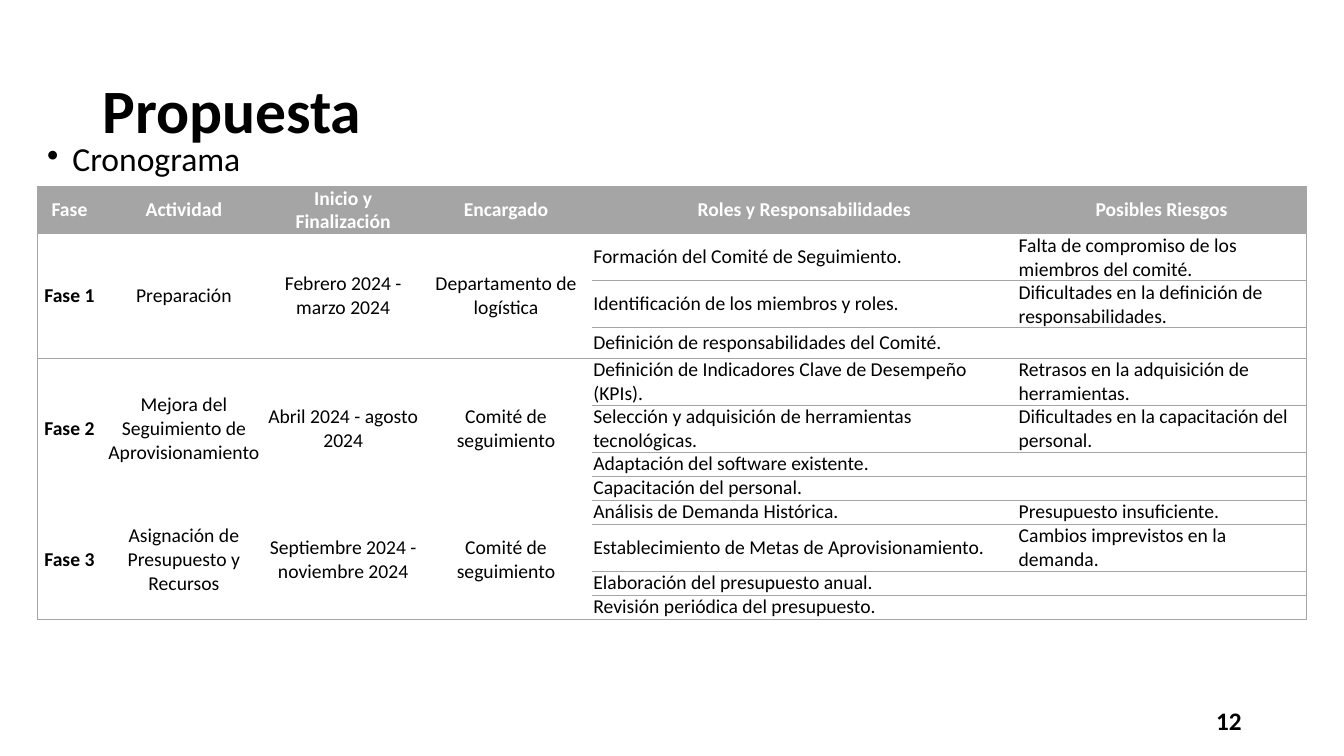
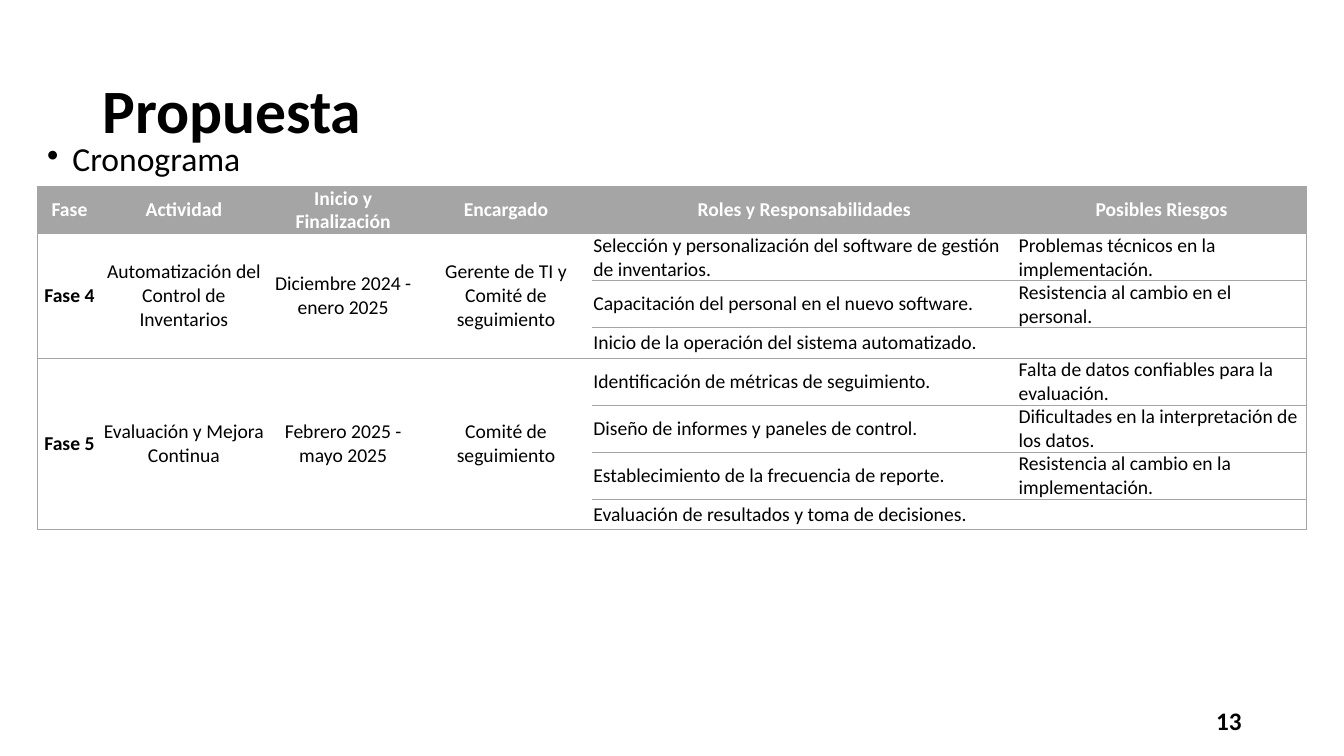
from lxml.etree import SubElement
from pptx import Presentation
from pptx.dml.color import RGBColor
from pptx.enum.text import MSO_ANCHOR, PP_ALIGN
from pptx.oxml.ns import qn
from pptx.util import Pt

COLORS = {"text": "000000", "head": "A5A5A5", "line": "A5A5A5", "white": "FFFFFF"}
FONT = "Calibri"
TITLE = "Propuesta"
TOPIC = "Cronograma"
HEADS = ["Fase", "Actividad", "Inicio y Finalización", "Encargado",
         "Roles y Responsabilidades", "Posibles Riesgos"]
COLS = [46.1, 117.4, 110.2, 122.4, 303.8, 206.6]
LEFT, TOP = 26.6, 133.2
LOW, TALL = 17.1, 21.6  # least row heights

# Each phase: labels, roles, risks, least row height
PAGES = [
    ("12", [
        (["Fase 1", "Preparación", "Febrero 2024 - marzo 2024",
          "Departamento de logística"],
         ["Formación del Comité de Seguimiento.",
          "Identificación de los miembros y roles.",
          "Definición de responsabilidades del Comité."],
         ["Falta de compromiso de los miembros del comité.",
          "Dificultades en la definición de responsabilidades."], TALL),
        (["Fase 2", "Mejora del Seguimiento de Aprovisionamiento",
          "Abril 2024 - agosto 2024", "Comité de seguimiento"],
         ["Definición de Indicadores Clave de Desempeño (KPIs).",
          "Selección y adquisición de herramientas tecnológicas.",
          "Adaptación del software existente.",
          "Capacitación del personal."],
         ["Retrasos en la adquisición de herramientas.",
          "Dificultades en la capacitación del personal."], LOW),
        (["Fase 3", "Asignación de Presupuesto y Recursos",
          "Septiembre 2024 - noviembre 2024", "Comité de seguimiento"],
         ["Análisis de Demanda Histórica.",
          "Establecimiento de Metas de Aprovisionamiento.",
          "Elaboración del presupuesto anual.",
          "Revisión periódica del presupuesto."],
         ["Presupuesto insuficiente.",
          "Cambios imprevistos en la demanda."], LOW),
    ]),
    ("13", [
        (["Fase 4", "Automatización del Control de Inventarios",
          "Diciembre 2024 - enero 2025",
          "Gerente de TI y Comité de seguimiento"],
         ["Selección y personalización del software de gestión de inventarios.",
          "Capacitación del personal en el nuevo software.",
          "Inicio de la operación del sistema automatizado."],
         ["Problemas técnicos en la implementación.",
          "Resistencia al cambio en el personal."], TALL),
        (["Fase 5", "Evaluación y Mejora Continua",
          "Febrero 2025 - mayo 2025", "Comité de seguimiento"],
         ["Identificación de métricas de seguimiento.",
          "Diseño de informes y paneles de control.",
          "Establecimiento de la frecuencia de reporte.",
          "Evaluación de resultados y toma de decisiones."],
         ["Falta de datos confiables para la evaluación.",
          "Dificultades en la interpretación de los datos.",
          "Resistencia al cambio en la implementación."], TALL),
    ]),
]


def color(name):
    return RGBColor.from_string(COLORS[name])


def style(para, size, bold, ink="text"):
    font = para.font
    font.name, font.size, font.bold = FONT, Pt(size), bold
    font.color.rgb = color(ink)


def add_text(slide, box, text, size, bold, anchor=MSO_ANCHOR.MIDDLE):
    frame = slide.shapes.add_textbox(*map(Pt, box)).text_frame
    frame.word_wrap = True
    frame.vertical_anchor = anchor
    para = frame.paragraphs[0]
    para.text = text
    style(para, size, bold)
    return para


def add_bullet(para, indent):
    props = para._p.get_or_add_pPr()
    props.set("marL", str(Pt(indent)))
    props.set("indent", str(-Pt(indent)))
    mark = props.makeelement(qn("a:buChar"), {"char": "•"})
    props.insert_element_before(mark, "a:tabLst", "a:defRPr", "a:extLst")


def set_lines(cell, sides):
    props = cell._tc.get_or_add_tcPr()
    for side in "LRTB":
        line = SubElement(props, qn("a:ln" + side), w=str(Pt(0.5)))
        if side in sides:
            fill = SubElement(line, qn("a:solidFill"))
            SubElement(fill, qn("a:srgbClr"), val=COLORS["line"])
        else:
            SubElement(line, qn("a:noFill"))


def fill_cell(cell, text, sides, bold=False, ink="text", back="white", center=True):
    set_lines(cell, sides)
    cell.fill.solid()
    cell.fill.fore_color.rgb = color(back)
    cell.vertical_anchor = MSO_ANCHOR.MIDDLE
    cell.margin_left = cell.margin_right = Pt(1.2)
    cell.margin_top = cell.margin_bottom = 0
    para = cell.text_frame.paragraphs[0]
    para.alignment = PP_ALIGN.CENTER if center else PP_ALIGN.LEFT
    style(para, 14, bold, ink)
    if text:
        para.text = text
    else:
        # An empty cell keeps the height of one text line
        SubElement(para._p, qn("a:endParaRPr"), sz="1400")


def add_plan(slide, phases):
    heights = [LOW] + [low for _, roles, _, low in phases for _ in roles]
    box = (LEFT, TOP, sum(COLS), sum(heights))
    table = slide.shapes.add_table(len(heights), len(COLS), *map(Pt, box)).table
    table.horz_banding = False
    for col, width in zip(table.columns, COLS):
        col.width = Pt(width)
    for row, height in zip(table.rows, heights):
        row.height = Pt(height)

    # Header
    for c, head in enumerate(HEADS):
        ends = {0: "L", len(HEADS) - 1: "R"}.get(c, "")
        fill_cell(table.cell(0, c), head, "TB" + ends, True, "white", "head")

    # Phases: merged labels at left, one row per role at right
    start = 1
    for i, (labels, roles, risks, _) in enumerate(phases):
        count = len(roles)
        above = "T" if i < 2 else ""
        below = "B" if i in (0, len(phases) - 1) else ""
        for c, label in enumerate(labels):
            for r in range(count):
                sides = "L" if c == 0 else ""
                sides += above if r == 0 else ""
                sides += below if r in (0, count - 1) else ""
                fill_cell(table.cell(start + r, c), "" if r else label,
                          sides, c == 0)
            table.cell(start, c).merge(table.cell(start + count - 1, c))
        for r, role in enumerate(roles):
            risk = risks[r] if r < len(risks) else ""
            fill_cell(table.cell(start + r, 4), role, "TB", center=False)
            fill_cell(table.cell(start + r, 5), risk, "TBR", center=False)
        start += count


def add_page(deck, number, phases):
    slide = deck.slides.add_slide(deck.slide_layouts[6])
    title = add_text(slide, (66, 28.8, 828, 104.4), TITLE, 44, True)
    title.line_spacing = 0.9
    topic = add_text(slide, (LEFT, 98.6, 229, 342.7), TOPIC, 24, False,
                     MSO_ANCHOR.TOP)
    topic.line_spacing = 0.9
    add_bullet(topic, 18)
    add_text(slide, (678, 500.5, 216, 28.8), number, 18,
             True).alignment = PP_ALIGN.RIGHT
    add_plan(slide, phases)


def main():
    deck = Presentation()
    deck.slide_width, deck.slide_height = Pt(960), Pt(540)
    for number, phases in PAGES:
        add_page(deck, number, phases)
    deck.save("out.pptx")


if __name__ == "__main__":
    main()
